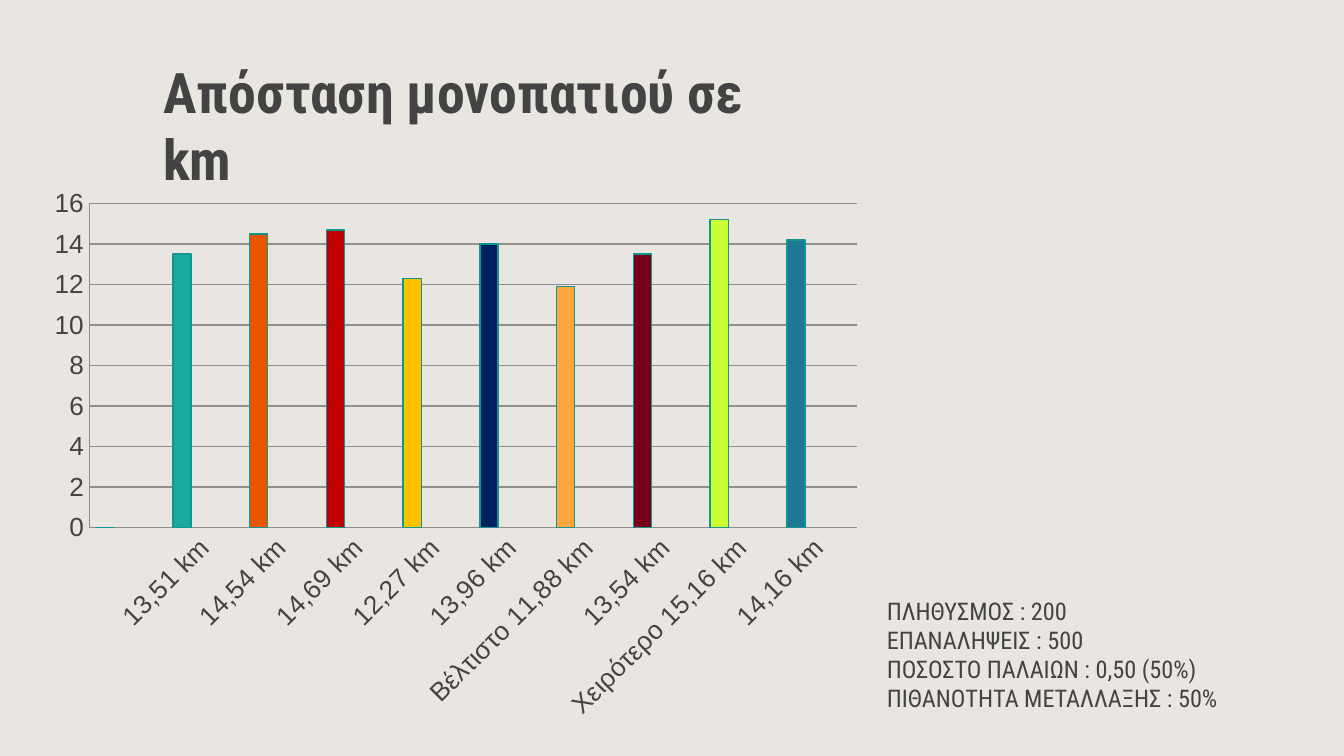
"""Build a slide with a column chart of path distances and the run settings."""
from pptx import Presentation
from pptx import util as u
from pptx.chart import data as cd
from pptx.dml import color as c
from pptx.enum import chart as ec, text

PX = 9525
COLORS = {
    "bg": "E9E6E1", "ink": "434343", "grid": "8F8F8F", "edge": "11968F",
    "teal": "18A9A1", "aqua": "1DCDC3", "mint": "A2E0DA",
    "orange": "EB5500", "red": "C00000", "gold": "FFC000", "navy": "002060",
    "amber": "FFA73B", "wine": "78001B", "lime": "CCFF33", "blue": "1F7695",
}
SETTINGS = [
    "ΠΛΗΘΥΣΜΟΣ : 200",
    "ΕΠΑΝΑΛΗΨΕΙΣ : 500",
    "ΠΟΣΟΣΤΟ ΠΑΛΑΙΩΝ : 0,50 (50%) ΠΙΘΑΝΟΤΗΤΑ ΜΕΤΑΛΛΑΞΗΣ : 50%",
]
DISTANCES = [
    (" ", 0, "teal"),
    ("13,51 km", 13.5, "teal"),
    ("14,54 km", 14.5, "orange"),
    ("14,69 km", 14.7, "red"),
    (" 12,27 km", 12.3, "gold"),
    ("13,96 km", 14, "navy"),
    ("Βέλτιστο 11,88 km", 11.9, "amber"),
    ("13,54 km", 13.5, "wine"),
    ("Χειρότερο 15,16 km", 15.2, "lime"),
    ("14,16 km", 14.2, "blue"),
]


class Deck:
    """Hold the style and the current slide."""

    def __init__(self, width, height):
        self.prs = Presentation()
        self.prs.slide_width, self.prs.slide_height = width * PX, height * PX
        self.font, self.chart_font = "Roboto Condensed", "Arial"
        self.s = self.prs.slides.add_slide(self.prs.slide_layouts[6])
        self.fill(self.s.background.fill, "bg")

    def fill(self, fill, name):
        """Make a fill solid in a named colour."""
        fill.solid()
        fill.fore_color.rgb = c.RGBColor.from_string(COLORS[name])

    def line(self, line, name):
        """Give a line a named colour and the thin width."""
        self.fill(line.fill, name)
        line.width = u.Pt(0.75)

    def type(self, font, name, size, bold=False):
        """Set the face, size, weight and ink of a font."""
        font.name, font.size, font.bold = name, u.Pt(size), bold
        font.color.rgb = c.RGBColor.from_string(COLORS["ink"])

    def text(self, box, lines, size, bold=False):
        """Add a wrapped text box, one paragraph a line."""
        tf = self.s.shapes.add_textbox(*(n * PX for n in box)).text_frame
        tf.word_wrap = True
        tf.auto_size = text.MSO_AUTO_SIZE.SHAPE_TO_FIT_TEXT
        tf.text = "\n".join(lines)
        for p in tf.paragraphs:
            for r in p.runs:
                self.type(r.font, self.font, size, bold)

    def axis(self, axis):
        """Style one chart axis."""
        axis.major_tick_mark = axis.minor_tick_mark = ec.XL_TICK_MARK.NONE
        self.type(axis.tick_labels.font, self.chart_font, 14)
        self.line(axis.format.line, "grid")

    def columns(self, box, rows, spare):
        """Add a column chart coloured by point, with empty spare series."""
        data = cd.CategoryChartData()
        data.categories = [label for label, _, _ in rows]
        data.add_series("Series 1", [value for _, value, _ in rows])
        for n, _ in enumerate(spare, 2):
            data.add_series(f"Series {n}", [None] * len(rows))
        chart = self.s.shapes.add_chart(
            ec.XL_CHART_TYPE.COLUMN_CLUSTERED, *(n * PX for n in box), data).chart
        chart.has_legend = chart.has_title = False
        self.type(chart.font, self.chart_font, 10)
        self.axis(chart.category_axis)
        self.axis(chart.value_axis)
        for body in chart.element.xpath("//c:catAx/c:txPr/a:bodyPr"):
            body.set("rot", "-2700000")
        values = chart.value_axis
        values.minimum_scale, values.maximum_scale, values.major_unit = 0, 16, 2
        self.line(values.major_gridlines.format.line, "grid")
        plot = chart.plots[0]
        plot.gap_width, plot.overlap, plot.vary_by_categories = 75, -25, False
        base = rows[0][2]
        for series, name in zip(plot.series, [base, *spare]):
            self.fill(series.format.fill, name)
            self.line(series.format.line, "edge")
        for i, (_, _, name) in enumerate(rows):
            if name != base:
                point = plot.series[0].points[i].format
                self.fill(point.fill, name)
                self.line(point.line, "edge")


def main():
    deck = Deck(960, 540)
    deck.text((624, 421, 318, 92), SETTINGS, 13)
    deck.text((107, 36, 487, 58), ["Απόσταση μονοπατιού σε km"], 30, bold=True)
    deck.columns((27, 127, 597, 395), DISTANCES, ["aqua", "mint"])
    deck.prs.save("out.pptx")


if __name__ == "__main__":
    main()
